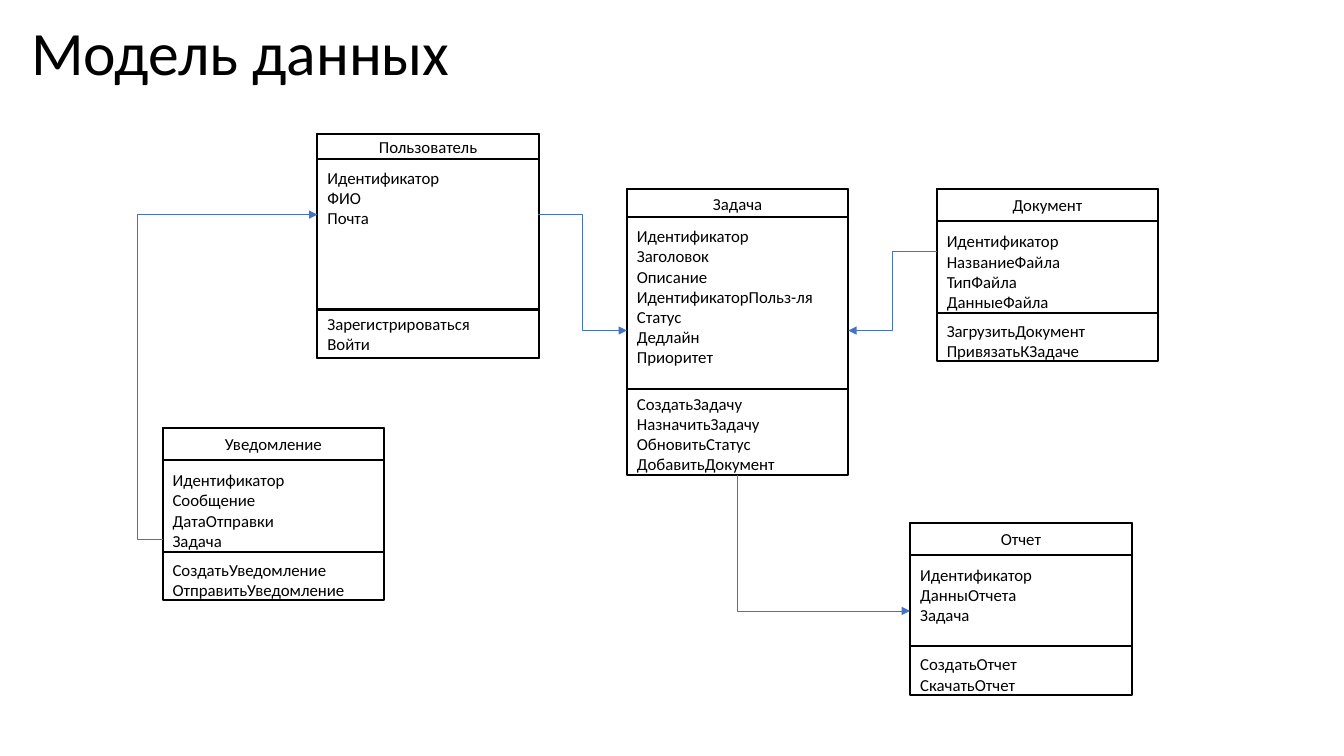
from lxml import etree
from pptx import Presentation
from pptx.dml.color import RGBColor
from pptx.enum import shapes, text
from pptx.oxml import ns
from pptx.util import Cm, Pt

COLORS = {"ink": "000000", "paper": "FFFFFF", "arrow": "4472C4"}
WIDTH = 5.58
USER = dict(body_h=5.64, methods_dy=4.42, methods_h=1.22, head_h=0.62, fields_dy=0.71, calls_dy=4.4)
TASK = dict(body_h=6.45, methods_dy=5.03, methods_h=2.16, head_h=0.71, fields_dy=0.8, calls_dy=5.02)
COMPACT = dict(body_h=3.15, methods_dy=3.12, methods_h=1.22, head_h=0.81, fields_dy=0.94, calls_dy=3.19)

entities = [
    ("Пользователь", 8.0, 3.38, USER, 2.62, 2.03,
     ["Идентификатор", "ФИО", "Почта"],
     ["Зарегистрироваться", "Войти"]),
    ("Задача", 15.8, 4.77, TASK, 5.51, 4.93,
     ["Идентификатор", "Заголовок", "Описание", "ИдентификаторПольз-ля",
      "Статус", "Дедлайн", "Приоритет"],
     ["СоздатьЗадачу", "НазначитьЗадачу", "ОбновитьСтатус", "ДобавитьДокумент"]),
    ("Документ", 23.61, 4.76, COMPACT, 4.34, 2.62,
     ["Идентификатор", "НазваниеФайла", "ТипФайла", "ДанныеФайла"],
     ["ЗагрузитьДокумент", "ПривязатьКЗадаче"]),
    ("Отчет", 22.94, 13.17, COMPACT, 2.62, 1.45,
     ["Идентификатор", "ДанныОтчета", "Задача"],
     ["СоздатьОтчет", "СкачатьОтчет"]),
    ("Уведомление", 4.1, 10.78, COMPACT, 3.76, 2.62,
     ["Идентификатор", "Сообщение", "ДатаОтправки", "Задача"],
     ["СоздатьУведомление", "ОтправитьУведомление"]),
]

relations = [
    ((13.57, 5.41), (15.8, 8.33), "bentConnector3", None, None),
    ((23.61, 6.34), (21.38, 8.33), "bentConnector3", None, None),
    ((4.1, 13.59), (8.0, 5.41), "bentConnector3", -16300, None),
    ((22.48, 11.51), (19.05, 15.85), "bentConnector2", None, 270),
]


def write(tf, lines, size, align):
    for i, line in enumerate(lines):
        p = tf.paragraphs[0] if i == 0 else tf.add_paragraph()
        p.alignment = align
        r = p.add_run()
        r.text = line
        for name, value in {"name": "Calibri", "size": Pt(size)}.items():
            setattr(r.font, name, value)
        r.font.color.rgb = RGBColor.from_string(COLORS["ink"])


prs = Presentation()
prs.slide_width, prs.slide_height = Cm(33.87), Cm(19.05)
s = prs.slides.add_slide(prs.slide_layouts[5])

title = s.shapes.title
for name, value in {"left": 0.53, "top": 0.25, "width": 29.62, "height": 2.31}.items():
    setattr(title, name, Cm(value))
title.text_frame.vertical_anchor = text.MSO_ANCHOR.MIDDLE
write(title.text_frame, ["Модель данных"], 44, text.PP_ALIGN.LEFT)
title.text_frame.paragraphs[0].line_spacing = 0.9

for heading, x, y, form, fields_h, calls_h, fields, calls in entities:
    group = s.shapes.add_group_shape()
    for dy, h in ((0, form["body_h"]), (form["methods_dy"], form["methods_h"]), (0, form["head_h"])):
        sp = group.shapes.add_shape(shapes.MSO_SHAPE.RECTANGLE, Cm(x), Cm(y + dy), Cm(WIDTH), Cm(h))
        sp.shadow.inherit = False
        sp.fill.solid()
        sp.fill.fore_color.rgb = RGBColor.from_string(COLORS["paper"])
        sp.line.color.rgb = RGBColor.from_string(COLORS["ink"])
        sp.line.width = Pt(1.5)
    sp.text_frame.vertical_anchor = text.MSO_ANCHOR.MIDDLE
    write(sp.text_frame, [heading], 12, text.PP_ALIGN.CENTER)
    for dy, h, lines in ((form["fields_dy"], fields_h, fields), (form["calls_dy"], calls_h, calls)):
        tf = group.shapes.add_textbox(Cm(x), Cm(y + dy), Cm(WIDTH), Cm(h)).text_frame
        tf.word_wrap = True
        tf.auto_size = text.MSO_AUTO_SIZE.SHAPE_TO_FIT_TEXT
        write(tf, lines, 12, text.PP_ALIGN.LEFT)

for start, end, preset, bend, angle in relations:
    c = s.shapes.add_connector(shapes.MSO_CONNECTOR.ELBOW, *map(Cm, start + end))
    c.line.color.rgb = RGBColor.from_string(COLORS["arrow"])
    c.line.width = Pt(0.5)
    props = c._element.spPr
    etree.SubElement(props.find(ns.qn("a:ln")), ns.qn("a:tailEnd"), type="triangle")
    etree.SubElement(props, ns.qn("a:effectLst"))
    geom = props.find(ns.qn("a:prstGeom"))
    geom.set("prst", preset)
    if bend is not None:
        guides = geom.find(ns.qn("a:avLst"))
        etree.SubElement(guides, ns.qn("a:gd"), name="adj1", fmla=f"val {bend}")
    if angle is not None:
        props.find(ns.qn("a:xfrm")).set("rot", str(angle * 60000))

prs.save("out.pptx")
